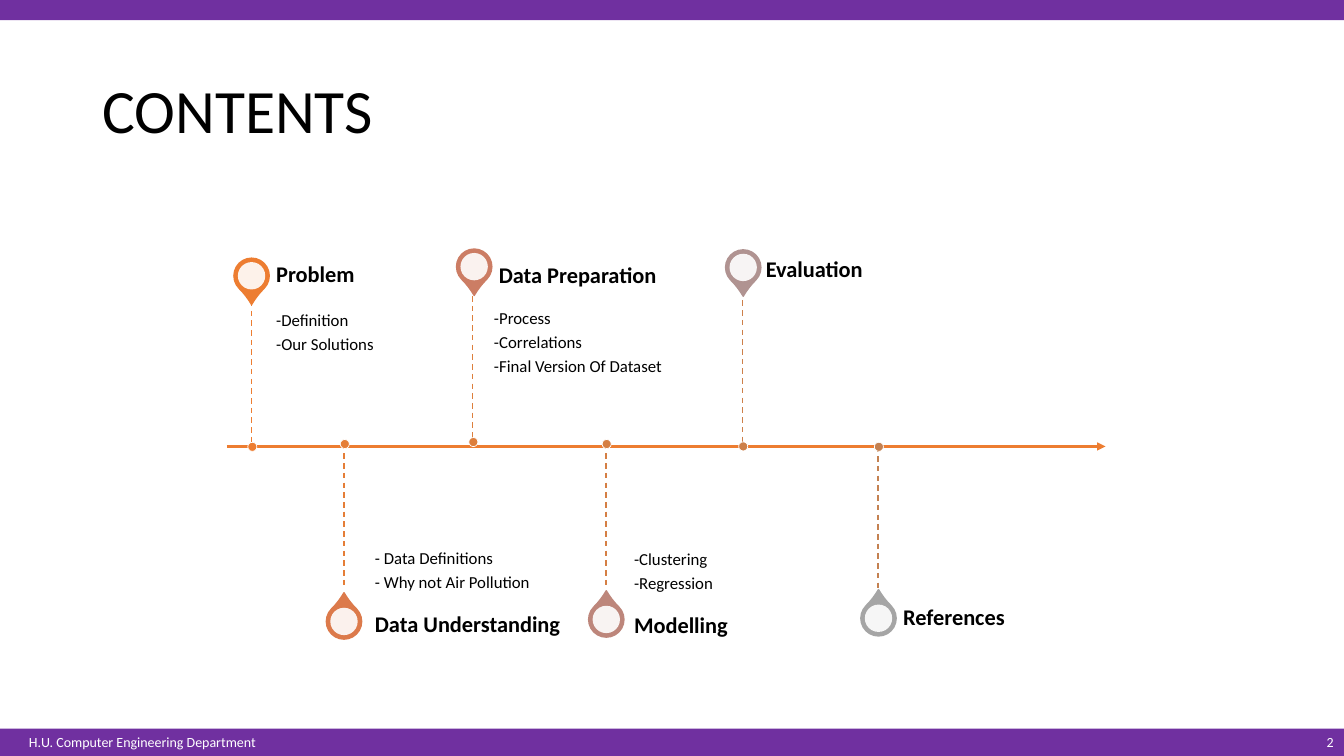
"""Build the contents slide with its timeline of project stages."""
from dataclasses import dataclass

from pptx import Presentation
from pptx.dml.color import RGBColor
from pptx.enum.dml import MSO_LINE
from pptx.enum.shapes import MSO_CONNECTOR, MSO_SHAPE
from pptx.enum.text import MSO_ANCHOR as ANCHOR, PP_ALIGN as ALIGN
from pptx.oxml.ns import qn
from pptx.shapes.autoshape import Shape
from pptx.shapes.connector import Connector
from pptx.shapes.shapetree import SlideShapes
from pptx.util import Cm, Pt
from lxml.etree import SubElement


@dataclass(frozen=True)
class Theme:
    font: str = "Calibri"
    band: str = "7030A0"
    accent: str = "ED7D31"
    light: str = "FFFFFF"
    ink: str = "000000"
    title: int = 44
    heading: int = 16
    body: int = 12
    footer: int = 10


@dataclass(frozen=True)
class Stage:
    heading: str
    details: tuple[str, ...]
    above: bool
    pin_color: str
    stem_color: str
    pin_x: float
    pin_y: float
    stem_x: float
    stem_y: float
    heading_x: float
    heading_y: float
    details_x: float = 0
    details_y: float = 0


THEME = Theme()
WIDTH, HEIGHT = 33.87, 19.05
AXIS_Y, AXIS_LEFT, AXIS_RIGHT = 11.25, 5.72, 27.86
PIN, HOLE, DOT, STEM = 0.89, 0.69, 0.23, 3.67
TEXT_W, HEADING_H, DETAILS_H = 5.1, 1.3, 3.68

STAGES = (
    Stage("Problem", ("-Definition", "-Our Solutions"), True, "ED7D31", "ED7D31",
          6.34, 6.95, 6.34, 11.25, 6.96, 6.94, 6.96, 7.67),
    Stage("Data Understanding", ("- Data Definitions", "- Why not Air Pollution"), False,
          "DC7A4B", "E57E37", 8.67, 15.66, 8.67, 11.18, 9.45, 15.76, 9.45, 11.43),
    Stage("Data Preparation", ("-Process", "-Correlations", "-Final Version Of Dataset"),
          True, "CC7D64", "DD7F3D",
          11.95, 6.72, 11.91, 11.13, 12.57, 6.97, 12.45, 7.6),
    Stage("Modelling", ("-Clustering", "-Regression"), False, "BD867B", "D57F44",
          15.28, 15.61, 15.27, 11.18, 15.98, 15.79, 15.98, 11.46),
    Stage("Evaluation", (), True, "B09391", "CD804A",
          18.73, 6.74, 18.71, 11.24, 19.3, 6.82),
    Stage("References", (), False, "A5A5A5", "C48151",
          22.14, 15.58, 22.13, 11.25, 22.76, 15.59),
)


def add_solid(shapes: SlideShapes, kind: MSO_SHAPE, x: float, y: float, w: float, h: float,
              fill: str, line: str = "", line_pt: float = 1) -> Shape:
    """Add a filled preset shape, outlined when a line colour is given."""
    s = shapes.add_shape(kind, Cm(x), Cm(y), Cm(w), Cm(h))
    s.shadow.inherit = False
    s.fill.solid()
    s.fill.fore_color.rgb = RGBColor.from_string(fill)
    if line:
        s.line.color.rgb = RGBColor.from_string(line)
        s.line.width = Pt(line_pt)
    else:
        s.line.fill.background()
    return s


def add_round(shapes: SlideShapes, kind: MSO_SHAPE, x: float, y: float, size: float,
              fill: str, line: str = "", line_pt: float = 1) -> Shape:
    """Add a square-framed shape centred on a point."""
    return add_solid(shapes, kind, x - size / 2, y - size / 2, size, size, fill, line, line_pt)


def add_line(shapes: SlideShapes, x1: float, y1: float, x2: float, y2: float,
             color: str, width: float) -> Connector:
    """Add a straight line without a shadow."""
    s = shapes.add_connector(MSO_CONNECTOR.STRAIGHT, Cm(x1), Cm(y1), Cm(x2), Cm(y2))
    s.line.color.rgb = RGBColor.from_string(color)
    s.line.width = Pt(width)
    SubElement(s._element.spPr, qn("a:effectLst"))
    return s


def add_text(shapes: SlideShapes, box: tuple[float, float, float, float],
             lines: tuple[str, ...], size: int, color: str, bold: bool = False,
             frame: dict | None = None, para: dict | None = None) -> None:
    """Add a text box with one paragraph for each line."""
    tf = shapes.add_textbox(*map(Cm, box)).text_frame
    for name, value in ({"word_wrap": True} | (frame or {})).items():
        setattr(tf, name, value)
    for i, line in enumerate(lines):
        p = tf.paragraphs[0] if i == 0 else tf.add_paragraph()
        for name, value in (para or {}).items():
            setattr(p, name, value)
        r = p.add_run()
        r.text = line
        for name, value in {"name": THEME.font, "size": Pt(size), "bold": bold}.items():
            setattr(r.font, name, value)
        r.font.color.rgb = RGBColor.from_string(color)


def add_stage(shapes: SlideShapes, stage: Stage) -> None:
    """Draw one stage with its pin, texts, stem and dot."""
    pin = add_round(shapes, MSO_SHAPE.TEAR, stage.pin_x, stage.pin_y, PIN,
                    stage.pin_color, stage.pin_color)
    pin.adjustments[0] = 1.15
    pin.rotation = 135 if stage.above else 315
    hole = add_round(shapes, MSO_SHAPE.OVAL, stage.pin_x, stage.pin_y, HOLE, THEME.light)
    color = hole._element.spPr.find(f"{qn('a:solidFill')}/{qn('a:srgbClr')}")
    SubElement(color, qn("a:alpha"), val="90000")

    if stage.details:
        near, far = Cm(0.2), Cm(0.3)
        frame = {
            "margin_left": 0,
            "margin_right": near if stage.above else 0,
            "margin_top": near if stage.above else far,
            "margin_bottom": far if stage.above else near,
            "vertical_anchor": ANCHOR.TOP if stage.above else ANCHOR.BOTTOM,
        }
        add_text(shapes, (stage.details_x, stage.details_y, TEXT_W, DETAILS_H),
                 stage.details, THEME.body, THEME.ink, frame=frame,
                 para={"line_spacing": 0.9, "space_after": Pt(0.35 * THEME.body)})
    add_text(shapes, (stage.heading_x, stage.heading_y - HEADING_H / 2, TEXT_W, HEADING_H),
             (stage.heading,), THEME.heading, THEME.ink, True,
             {"margin_left": 0, "margin_top": 0, "margin_bottom": 0, "margin_right": Cm(0.28),
              "vertical_anchor": ANCHOR.MIDDLE},
             {"line_spacing": 0.9, "space_after": Pt(0.35 * THEME.heading)})

    top = stage.stem_y - STEM if stage.above else stage.stem_y
    stem = add_line(shapes, stage.stem_x, top, stage.stem_x, top + STEM, stage.stem_color, 1)
    stem.line.dash_style = MSO_LINE.DASH
    add_round(shapes, MSO_SHAPE.OVAL, stage.stem_x + 0.02, stage.stem_y + 0.01, DOT,
              stage.stem_color, THEME.light, 0.5)


def main() -> None:
    """Build and save the presentation."""
    prs = Presentation()
    prs.slide_width, prs.slide_height = Cm(WIDTH), Cm(HEIGHT)
    shapes = prs.slides.add_slide(prs.slide_layouts[6]).shapes

    footer_h = 0.69
    footer_y = HEIGHT - footer_h
    add_solid(shapes, MSO_SHAPE.RECTANGLE, 0, footer_y, WIDTH, footer_h, THEME.band)
    add_solid(shapes, MSO_SHAPE.RECTANGLE, 0, 0, WIDTH, 0.51, THEME.band)
    add_text(shapes, (0.48, footer_y, 6.32, footer_h),
             ("H.U. Computer Engineering Department",), THEME.footer, THEME.light,
             frame={"word_wrap": False})
    add_text(shapes, (2.33, 1.01, 29.21, 3.68), ("CONTENTS",), THEME.title, THEME.ink,
             frame={"vertical_anchor": ANCHOR.MIDDLE}, para={"line_spacing": 0.9})

    axis = add_line(shapes, AXIS_LEFT, AXIS_Y, AXIS_RIGHT, AXIS_Y, THEME.accent, 1.5)
    SubElement(axis.line._get_or_add_ln(), qn("a:tailEnd"), type="triangle")
    for stage in STAGES:
        add_stage(shapes, stage)

    add_text(shapes, (31.14, footer_y, 2.72, 0.66), ("2",), THEME.footer, THEME.light,
             frame={"vertical_anchor": ANCHOR.MIDDLE}, para={"alignment": ALIGN.RIGHT})
    prs.save("out.pptx")


if __name__ == "__main__":
    main()
